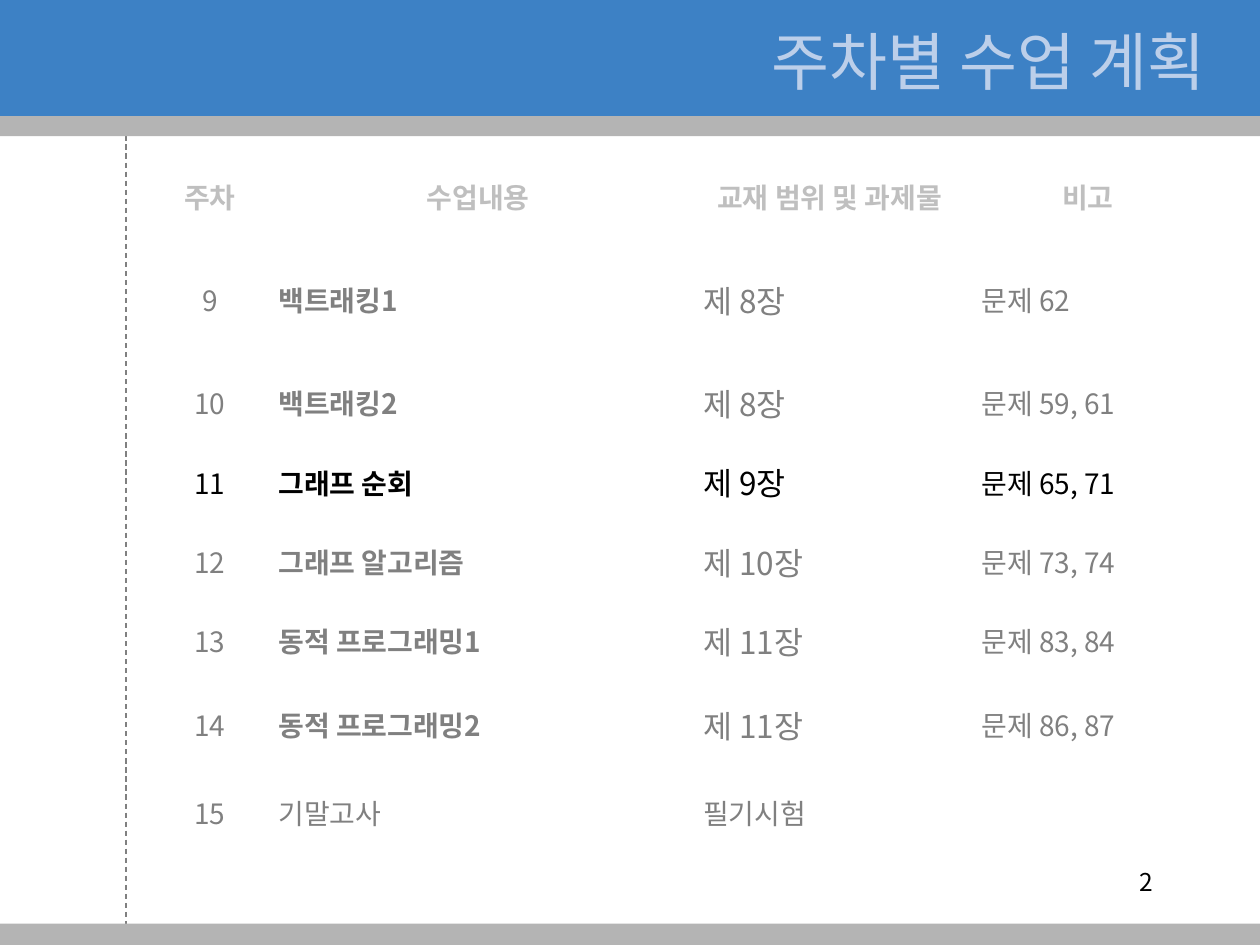
from dataclasses import dataclass
from lxml.etree import SubElement
from pptx import Presentation
from pptx.dml.color import RGBColor
from pptx.enum.dml import MSO_LINE
from pptx.enum.shapes import MSO_CONNECTOR, MSO_SHAPE
from pptx.enum.text import MSO_ANCHOR, MSO_AUTO_SIZE, PP_ALIGN
from pptx.oxml.ns import qn
from pptx.util import Inches, Pt


@dataclass(frozen=True)
class Theme:
    font: str = "Noto Sans CJK KR"
    blue: str = "3D81C5"
    band: str = "B4B4B4"
    title: str = "BCCFEA"
    head: str = "BFBFBF"
    muted: str = "808080"
    ink: str = "000000"
    paper: str = "FFFFFF"
    large: int = 36
    lead: int = 18
    body: int = 16
    small: int = 14


THEME = Theme()
HEADS = ("주차", "수업내용", "교재 범위 및 과제물", "비고")
WEEKS = (
    ("9", "백트래킹1", "제 8장", "문제 62"),
    ("10", "백트래킹2", "제 8장", "문제 59, 61"),
    ("11", "그래프 순회", "제 9장", "문제 65, 71"),
    ("12", "그래프 알고리즘", "제 10장", "문제 73, 74"),
    ("13", "동적 프로그래밍1", "제 11장", "문제 83, 84"),
    ("14", "동적 프로그래밍2", "제 11장", "문제 86, 87"),
    ("15", "기말고사", "필기시험", ""),
)
NOW = "11"
EXAM = "15"
COLS = (0.89, 3.37, 2.21, 1.89)
ROWS = (0.63, 1.01, 0.63, 0.63, 0.63, 0.63, 0.7, 0.69)


def assign(item, values):
    for key, value in values.items():
        setattr(item, key, value)


def box(*lengths):
    return [Inches(n) for n in lengths]


def paint(fill, color):
    fill.solid()
    fill.fore_color.rgb = RGBColor.from_string(color)


def write(frame, text, size, color, align, bold=False):
    para = frame.paragraphs[0]
    para.alignment = align
    run = para.add_run()
    run.text = text
    assign(run.font, {"name": THEME.font, "size": Pt(size), "bold": bold})
    run.font.color.rgb = RGBColor.from_string(color)
    SubElement(run.font._element, qn("a:ea")).set("typeface", THEME.font)


def add_guide(slide):
    line = slide.shapes.add_connector(MSO_CONNECTOR.STRAIGHT, *box(1, 0, 1, 7.5))
    assign(line.line, {"width": Pt(0.75), "dash_style": MSO_LINE.DASH})
    line.line.color.rgb = RGBColor.from_string(THEME.muted)
    SubElement(line._element.spPr, qn("a:effectLst"))


def add_band(slide, top, height, color):
    band = slide.shapes.add_shape(MSO_SHAPE.RECTANGLE, *box(0, top, 10, height))
    band.shadow.inherit = False
    paint(band.fill, color)
    band.line.fill.background()


def set_title(slide, text):
    title = slide.shapes.title
    left, top, width, height = box(3.82, 0.13, 5.98, 0.7)
    assign(title, {"left": left, "top": top, "width": width, "height": height})
    assign(title.text_frame, {
        "word_wrap": True, "auto_size": MSO_AUTO_SIZE.NONE,
        "vertical_anchor": MSO_ANCHOR.MIDDLE, "margin_right": Inches(0.23),
    })
    write(title.text_frame, text, THEME.large, THEME.title, PP_ALIGN.RIGHT)
    slide.shapes._spTree.append(title._element)


def add_page(slide, number):
    frame = slide.shapes.add_textbox(*box(7.17, 6.83, 2.08, 0.5)).text_frame
    frame.word_wrap = True
    write(frame, number, THEME.small, THEME.ink, PP_ALIGN.RIGHT)


def cell_style(row, col):
    if row == 0:
        return THEME.body, THEME.head, PP_ALIGN.CENTER, True
    week = WEEKS[row - 1][0]
    exam = week == EXAM
    size = THEME.lead if col == 2 and not exam else THEME.body
    color = THEME.ink if week == NOW else THEME.muted
    align = PP_ALIGN.CENTER if col == 0 else PP_ALIGN.LEFT
    return size, color, align, col == 1 and not exam


def add_plan(slide):
    table = slide.shapes.add_table(
        len(ROWS), len(COLS), *box(1.22, 1.24, sum(COLS), sum(ROWS))
    ).table
    assign(table, {"first_row": False, "horz_banding": False})
    for col, width in zip(table.columns, COLS):
        col.width = Inches(width)
    for row, height in zip(table.rows, ROWS):
        row.height = Inches(height)
    for r, texts in enumerate((HEADS, *WEEKS)):
        for c, text in enumerate(texts):
            cell = table.cell(r, c)
            cell.vertical_anchor = MSO_ANCHOR.MIDDLE
            paint(cell.fill, THEME.paper)
            if text:
                write(cell.text_frame, text, *cell_style(r, c))


def main():
    deck = Presentation()
    assign(deck, {"slide_width": Inches(10), "slide_height": Inches(7.5)})
    slide = deck.slides.add_slide(deck.slide_layouts.get_by_name("Title Only"))
    paint(slide.background.fill, THEME.paper)
    add_guide(slide)
    add_band(slide, 0.83, 0.25, THEME.band)
    add_band(slide, 0, 0.92, THEME.blue)
    add_band(slide, 7.33, 0.17, THEME.band)
    set_title(slide, "주차별 수업 계획")
    add_page(slide, "2")
    add_plan(slide)
    deck.save("out.pptx")


main()
